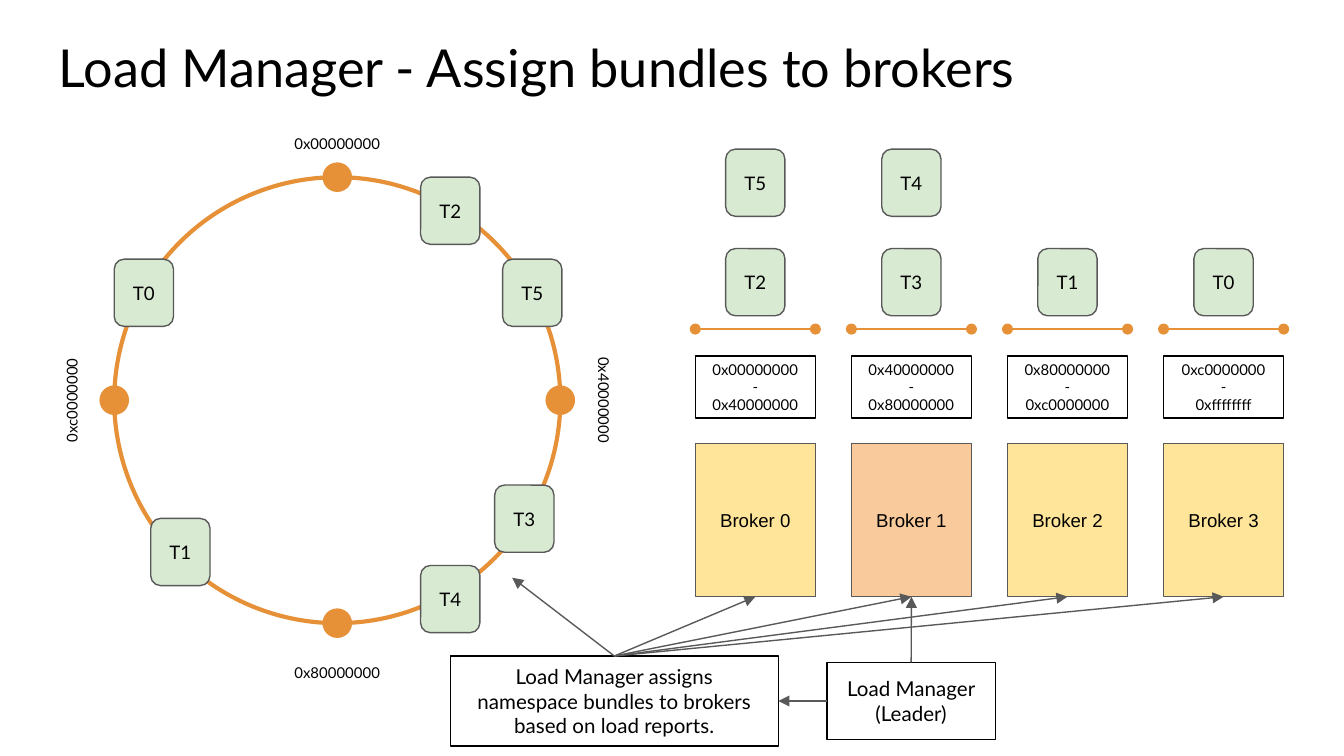
from copy import deepcopy
from math import cos, radians, sin

from lxml.etree import SubElement
from pptx import Presentation
from pptx.dml.color import RGBColor
from pptx.enum.shapes import MSO_CONNECTOR, MSO_SHAPE
from pptx.enum.text import MSO_ANCHOR, PP_ALIGN
from pptx.oxml.ns import qn
from pptx.util import Cm, Pt

COLORS = {
    "ink": "000000",
    "outline": "595959",
    "ring": "E69138",
    "topic": "D9EAD3",
    "broker": "FFE599",
    "leader": "F9CB9C",
}
FRAME_FORMAT = {
    "word_wrap": True,
    "vertical_anchor": MSO_ANCHOR.MIDDLE,
    "margin_left": Cm(0.25),
    "margin_right": Cm(0.25),
    "margin_top": Cm(0.25),
    "margin_bottom": Cm(0.25),
}
TITLE_FORMAT = {"name": "Lato", "size": Pt(28)}
NOTE_FORMAT = {"name": "Lato", "size": Pt(11)}
TOPIC_FORMAT = {"name": "Lato", "size": Pt(10)}
RANGE_FORMAT = {"name": "Lato", "size": Pt(8)}
BROKER_FORMAT = {"name": "Arial", "size": Pt(10)}

TOPIC_WIDTH, TOPIC_HEIGHT = 1.12, 1.27
BOUNDS = ["0x00000000", "0x40000000", "0x80000000", "0xc0000000", "0xffffffff"]
LABEL_OFFSETS = [(0, -4.86), (5.04, 0), (0, 5.14), (-5.02, 0)]
LABEL_ROTATIONS = [0, 90, 0, 270]
RING_TOPICS = {
    "T0": (0, 1.55),
    "T1": (0.69, 6.45),
    "T2": (5.79, 0),
    "T3": (7.19, 5.82),
    "T4": (5.79, 7.34),
    "T5": (7.34, 1.55),
}
BROKER_TOPICS = [["T2", "T5"], ["T3", "T4"], ["T1"], ["T0"]]


def color(name):
    """Return the named palette colour."""
    return RGBColor.from_string(COLORS[name])


def apply_format(target, values):
    """Set each attribute of the target from the given values."""
    for name, value in values.items():
        setattr(target, name, value)


def write_text(holder, text, font_format, align=PP_ALIGN.CENTER):
    """Write one formatted paragraph, with line breaks, into a shape."""
    apply_format(holder.text_frame, FRAME_FORMAT)
    paragraph = holder.text_frame.paragraphs[0]
    paragraph.text = text.replace("\n", "\v")
    paragraph.alignment = align
    for run in paragraph.runs:
        apply_format(run.font, font_format)
        run.font.color.rgb = color("ink")
    for line_break in holder.text_frame._txBody.iter(qn("a:br")):
        line_break.insert(0, deepcopy(paragraph.runs[0].font._element))


def add_label(shapes, box, text, font_format, align=PP_ALIGN.CENTER):
    """Add a text box and return it."""
    label = shapes.add_textbox(*map(Cm, box))
    write_text(label, text, font_format, align)
    return label


def add_block(shapes, kind, box, fill=None, line=None, weight=0.75):
    """Add a preset shape with an optional fill and outline."""
    block = shapes.add_shape(kind, *map(Cm, box))
    block.shadow.inherit = False
    if fill:
        block.fill.solid()
        block.fill.fore_color.rgb = color(fill)
    else:
        block.fill.background()
    if line:
        block.line.color.rgb = color(line)
        block.line.width = Pt(weight)
    else:
        block.line.fill.background()
    return block


def add_topic(shapes, left, top, name):
    """Add one topic tile."""
    box = (left, top, TOPIC_WIDTH, TOPIC_HEIGHT)
    topic = add_block(shapes, MSO_SHAPE.ROUNDED_RECTANGLE, box, "topic", "outline")
    write_text(topic, name, TOPIC_FORMAT)


def add_line(shapes, start, end, line, weight, ends):
    """Add a straight connector with the given end decorations."""
    connector = shapes.add_connector(MSO_CONNECTOR.STRAIGHT, *map(Cm, start + end))
    connector.line.color.rgb = color(line)
    connector.line.width = Pt(weight)
    properties = connector._element.spPr
    for tag, decoration in ends.items():
        SubElement(properties.find(qn("a:ln")), qn(tag)).set("type", decoration)
    SubElement(properties, qn("a:effectLst"))
    return connector


def add_arrow(shapes, source, source_side, target=None, target_side=0, tip=(0, 0)):
    """Add an arrow from a block side to another block side or a free tip."""
    arrow = add_line(shapes, tip, tip, "outline", 0.75, {"a:tailEnd": "triangle"})
    arrow.begin_connect(source, source_side)
    if target is not None:
        arrow.end_connect(target, target_side)


def add_hash_ring(slide, left, top, size):
    """Draw the hash ring with its quarter marks, bounds and topics."""
    shapes = slide.shapes.add_group_shape().shapes
    radius, dot = size / 2, 0.56
    center_x, center_y = left + radius, top + radius
    add_block(shapes, MSO_SHAPE.OVAL, (left, top, size, size), None, "ring", 2.25)
    for quarter in range(4):
        angle = radians(90 * quarter)
        dot_x = center_x + radius * sin(angle) - dot / 2
        dot_y = center_y - radius * cos(angle) - dot / 2
        add_block(shapes, MSO_SHAPE.OVAL, (dot_x, dot_y, dot, dot), "ring")
    width, height = 2.31, 0.74
    for bound, (dx, dy), rotation in zip(BOUNDS, LABEL_OFFSETS, LABEL_ROTATIONS):
        box = (center_x + dx - width / 2, center_y + dy - height / 2, width, height)
        add_label(shapes, box, bound, RANGE_FORMAT).rotation = rotation
    for name, (dx, dy) in RING_TOPICS.items():
        add_topic(shapes, left + dx, top + dy, name)


def add_broker_column(slide, left, top, width, index):
    """Draw one broker with its hash range and topics, and return the broker."""
    shapes = slide.shapes
    fill = "leader" if index == 1 else "broker"
    broker_box = (left, top + 5.56, width, 2.9)
    broker = add_block(shapes, MSO_SHAPE.RECTANGLE, broker_box, fill, "outline")
    write_text(broker, f"Broker {index}", BROKER_FORMAT)
    span_y = top + 3.4
    ovals = {"a:headEnd": "oval", "a:tailEnd": "oval"}
    add_line(shapes, (left, span_y), (left + width, span_y), "ring", 1.5, ovals)
    range_box = (left, top + 3.91, width, 1.17)
    hash_range = add_block(shapes, MSO_SHAPE.RECTANGLE, range_box, None, "ink")
    write_text(hash_range, f"{BOUNDS[index]}\n-\n{BOUNDS[index + 1]}", RANGE_FORMAT)
    for row, name in enumerate(BROKER_TOPICS[index]):
        topic_left = left + (width - TOPIC_WIDTH) / 2
        add_topic(shapes, topic_left, top + 1.88 * (1 - row), name)
    return broker


def add_note(slide, left, top, width, height, text):
    """Draw one outlined note and return it."""
    box = (left, top, width, height)
    note = add_block(slide.shapes, MSO_SHAPE.RECTANGLE, box, None, "ink")
    write_text(note, text, NOTE_FORMAT)
    return note


def main():
    """Build and save the slide."""
    deck = Presentation()
    deck.slide_width, deck.slide_height = Cm(25.4), Cm(14.29)
    slide = deck.slides.add_slide(deck.slide_layouts[6])
    shapes = slide.shapes
    add_label(shapes, (0.86, 0.46, 23.67, 1.6),
              "Load Manager - Assign bundles to brokers", TITLE_FORMAT, PP_ALIGN.LEFT)
    add_hash_ring(slide, 2.16, 3.35, 8.43)
    brokers = [add_broker_column(slide, 13.14 + 2.95 * index, 2.82, 2.27, index)
               for index in range(len(BROKER_TOPICS))]
    leader = add_note(slide, 15.63, 12.52, 3.18, 1.46, "Load Manager (Leader)")
    assignment = add_note(
        slide, 8.51, 12.4, 6.2, 1.7,
        "Load Manager assigns namespace bundles to brokers based on load reports.")
    add_arrow(shapes, leader, 0, brokers[1], 2)
    add_arrow(shapes, leader, 1, assignment, 3)
    add_arrow(shapes, assignment, 0, tip=(9.68, 10.92))
    for broker in brokers:
        add_arrow(shapes, assignment, 0, broker, 2)
    deck.save("out.pptx")


if __name__ == "__main__":
    main()
